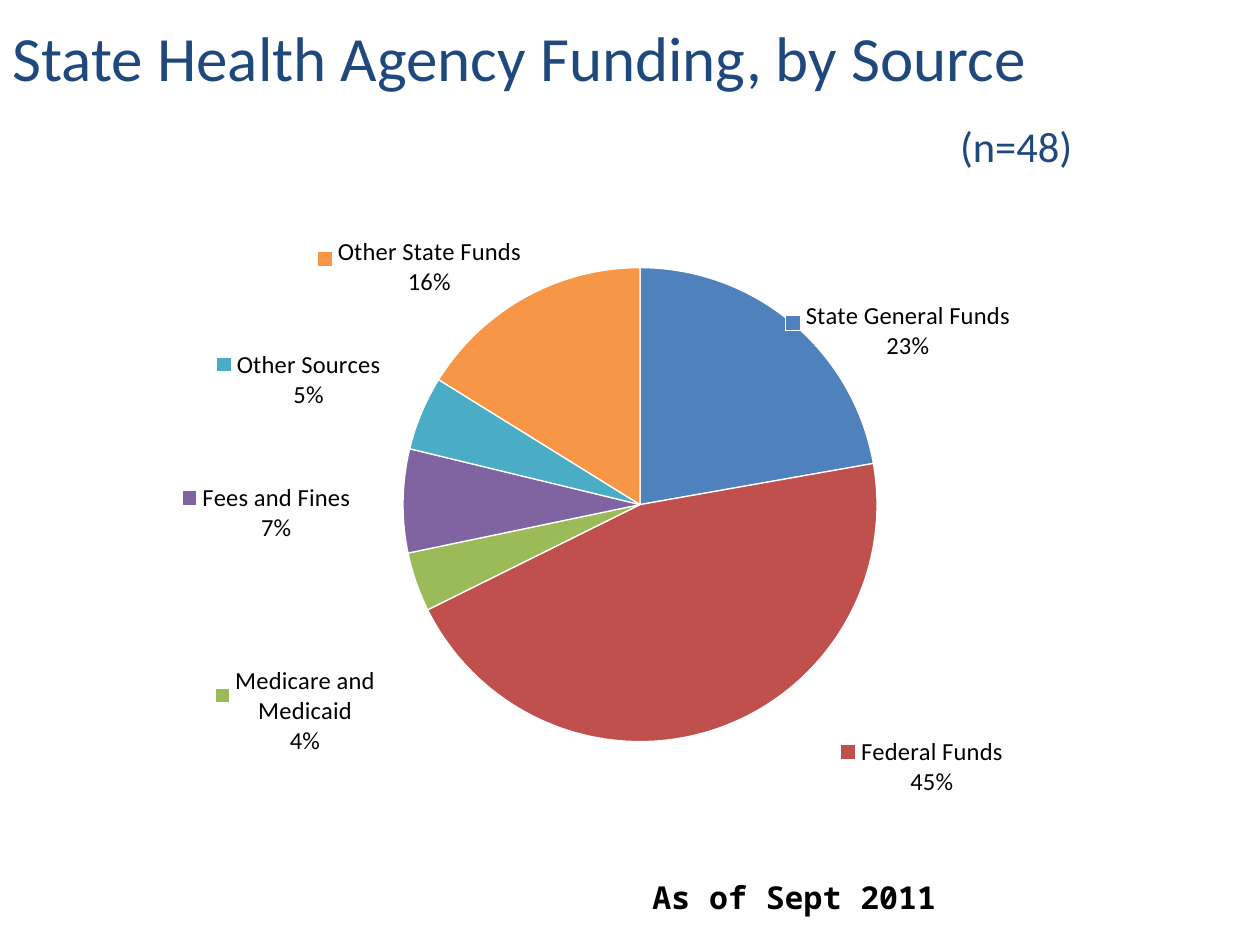
from lxml import etree
from pptx import Presentation
from pptx.chart.data import CategoryChartData
from pptx.dml.color import RGBColor
from pptx.enum.chart import XL_CHART_TYPE, XL_LABEL_POSITION
from pptx.enum.text import MSO_ANCHOR, PP_ALIGN
from pptx.oxml import parse_xml
from pptx.oxml.ns import nsdecls, qn
from pptx.util import Inches, Pt

PIE = XL_CHART_TYPE.PIE
OUTSIDE_END = XL_LABEL_POSITION.OUTSIDE_END
MIDDLE = MSO_ANCHOR.MIDDLE
LEFT = PP_ALIGN.LEFT

COLORS = {"title": "1F497D", "text": "000000", "border": "FFFFFF"}

# Category, value, slice colour, label offset (chart fractions), custom label
SLICES = [
    ("State General Funds", 22, "4F81BD", (-0.01, 0.07), "State General Funds\n23%"),
    ("Federal Funds", 45, "C0504D", (0.11, 0), None),
    ("Medicare and Medicaid", 4, "9BBB59", (-0.03, 0.13), "Medicare and Medicaid\n4%"),
    ("Fees and Fines", 7, "8064A2", (-0.04, 0.02), None),
    ("Other Sources", 5, "4BACC6", (-0.03, 0), None),
    ("Other State/Territory Funds", 16, "F79646", (0, 0.01), "Other State Funds\n16%"),
]


def set_font(font, size, color, name="Calibri"):
    font.name = name
    font.size = Pt(size)
    font.color.rgb = RGBColor.from_string(COLORS[color])


def manual_layout(**settings):
    items = "".join(f'<c:{key} val="{value}"/>' for key, value in settings.items())
    return parse_xml(
        f'<c:layout {nsdecls("c")}><c:manualLayout>{items}</c:manualLayout></c:layout>'
    )


presentation = Presentation()
presentation.slide_width = Inches(10)
presentation.slide_height = Inches(7.5)
slide = presentation.slides.add_slide(presentation.slide_layouts[5])

# Title with the sample size on its second line
title = slide.shapes.title
title.left, title.top = Inches(0), Inches(0)
title.width, title.height = Inches(10), Inches(1.5)
title_frame = title.text_frame
title_frame.text = "State Health Agency Funding, by Source\n(n=48)"
title_frame.vertical_anchor = MIDDLE
for paragraph, size in zip(title_frame.paragraphs, (36, 24.3)):
    paragraph.alignment = LEFT
    set_font(paragraph.runs[0].font, size, "title")
sample_size = title_frame.paragraphs[1]
sample_size.space_before = Pt(15)
sample_size._p.get_or_add_pPr().set("marL", str(Inches(7.52)))

# Pie chart
chart_data = CategoryChartData()
chart_data.categories = [row[0] for row in SLICES]
chart_data.add_series("Series 1", [row[1] for row in SLICES])
chart = slide.shapes.add_chart(
    PIE, Inches(0.58), Inches(1.58), Inches(9), Inches(4.95), chart_data
).chart
chart.has_title = False
chart.has_legend = False
set_font(chart.font, 18, "text")
plot = chart.plots[0]
plot.vary_by_categories = True
plot_area = chart._chartSpace.chart.plotArea
for old_layout in plot_area.findall(qn("c:layout")):
    plot_area.remove(old_layout)
plot_area.insert(0, manual_layout(
    layoutTarget="inner", xMode="edge", yMode="edge", x=0.29, y=0.11, w=0.42, h=0.76
))

# Shared label settings
series = plot.series[0]
labels = series.data_labels
labels.show_value = False
labels.show_category_name = True
labels.show_percentage = True
labels.show_legend_key = True
labels.position = OUTSIDE_END
set_font(labels.font, 14, "text")
for leader_lines in labels._element.findall(qn("c:showLeaderLines")):
    leader_lines.set("val", "0")

# Slices and their labels
for index, (category, value, color, offset, custom_text) in enumerate(SLICES):
    point = series.points[index]
    point.format.fill.solid()
    point.format.fill.fore_color.rgb = RGBColor.from_string(color)
    point.format.line.color.rgb = RGBColor.from_string(COLORS["border"])
    point.format.line.width = Pt(0.75)

    label = point.data_label
    if custom_text:
        label.text_frame.text = custom_text
        for paragraph in label.text_frame.paragraphs:
            set_font(paragraph.runs[0].font, 14, "text")
    else:
        set_font(label.font, 14, "text")
    label.position = OUTSIDE_END

    label_xml = labels._element.findall(qn("c:dLbl"))[index]
    shown = {"showLegendKey": 1, "showVal": 0, "showCatName": 1, "showPercent": 1}
    for tag, flag in shown.items():
        label_xml.find(qn(f"c:{tag}")).set("val", str(flag))
    etree.SubElement(label_xml, qn("c:separator")).text = "\n"
    label_xml.insert(1, manual_layout(x=offset[0], y=offset[1]))

# Date note
note = slide.shapes.add_textbox(Inches(5.08), Inches(6.92), Inches(2.7), Inches(0.4))
note.text_frame.word_wrap = True
note.text_frame.text = "As of Sept 2011"
note_font = note.text_frame.paragraphs[0].runs[0].font
set_font(note_font, 18, "text", "Noto Sans Mono")
note_font.bold = True

presentation.save("out.pptx")
